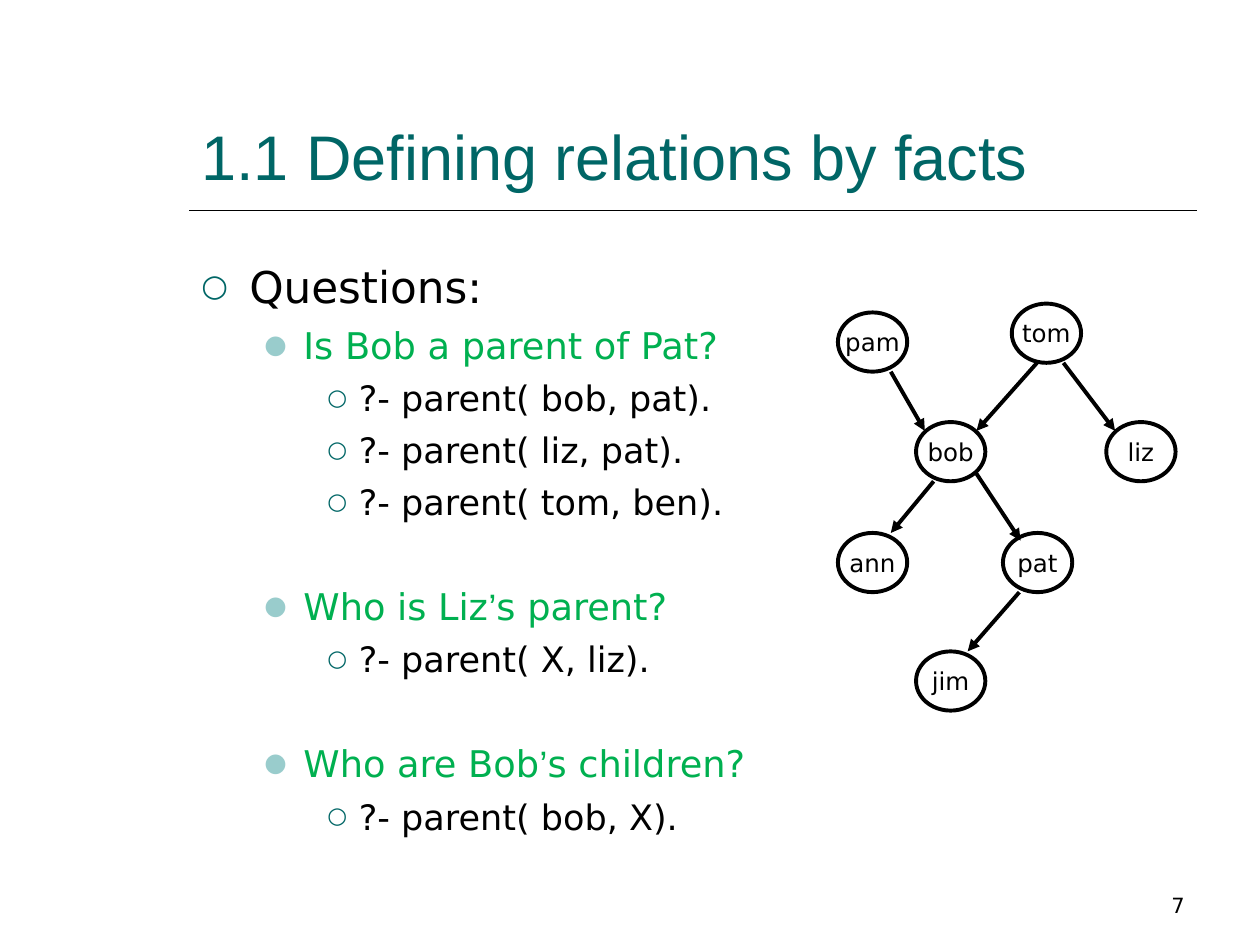
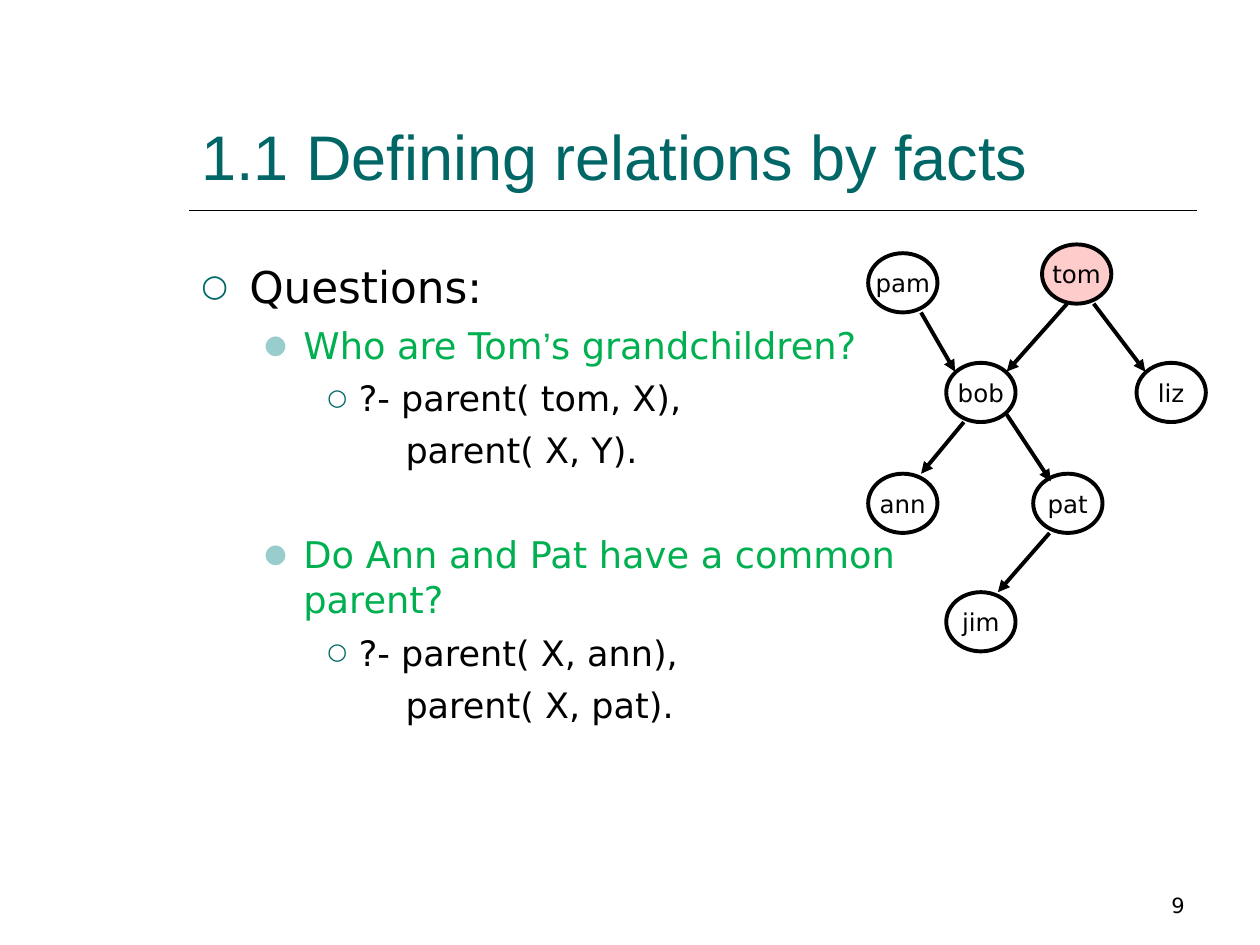
from itertools import zip_longest
from lxml.etree import SubElement
from pptx import Presentation
from pptx.dml.color import RGBColor
from pptx.enum.shapes import MSO_CONNECTOR, MSO_SHAPE
from pptx.enum.text import MSO_ANCHOR, PP_ALIGN
from pptx.oxml.ns import qn
from pptx.util import Inches, Pt

HUES = {"teal": "006666", "aqua": "99CCCC", "green": "00B050",
        "pink": "FFCCCC", "black": "000000", "white": "FFFFFF"}
SANS = "DejaVu Sans"
TITLE = "1.1 Defining relations by facts"

# Outline levels; "more" continues a query on the next line
LEVELS = {
    "head": {"size": 25, "hue": "black", "left": 0.38, "hang": 0.38,
             "gap": 6.2, "mark": ("○", "teal", 70)},
    "ask": {"size": 21, "hue": "green", "left": 0.81, "hang": 0.31,
            "gap": 5.2, "mark": ("●", "aqua", 70)},
    "query": {"size": 20, "hue": "black", "left": 1.25, "hang": 0.25,
              "gap": 5, "mark": ("○", "teal", 65)},
    "more": {"size": 20, "hue": "black", "left": 1.62, "hang": 0,
             "gap": 5, "mark": None},
}
BREAK = 29  # extra points above each new question

# Family tree: node corners, then edges with offsets from those corners
WIDE, HIGH = 0.55, 0.47
NODES = {"pam": (6.65, 2.48), "liz": (8.78, 3.35), "bob": (7.27, 3.35),
         "jim": (7.27, 5.17), "pat": (7.96, 4.23), "ann": (6.65, 4.23),
         "tom": (8.03, 2.41)}
EDGES = [("pam", 0.42, HIGH, "bob", 0.07, 0.07),
         ("tom", 0.2, HIGH, "bob", 0.48, 0.07),
         ("tom", 0.41, HIGH, "liz", 0.07, 0.07),
         ("bob", 0.14, HIGH, "ann", 0.42, 0),
         ("bob", 0.48, 0.41, "pat", 0.14, 0.06),
         ("pat", 0.13, HIGH, "jim", 0.41, 0)]

SLIDES = [
    {"page": "7", "body": (7.75, 5.14), "shift": (0, 0), "lit": None,
     "lines": [("head", "Questions:"),
               ("ask", "Is Bob a parent of Pat?"),
               ("query", "?- parent( bob, pat)."),
               ("query", "?- parent( liz, pat)."),
               ("query", "?- parent( tom, ben)."),
               ("ask", "Who is Liz’s parent?"),
               ("query", "?- parent( X, liz)."),
               ("ask", "Who are Bob’s children?"),
               ("query", "?- parent( bob, X).")]},
    {"page": "9", "body": (5.71, 4.5), "shift": (0.24, -0.47), "lit": "tom",
     "lines": [("head", "Questions:"),
               ("ask", "Who are Tom’s grandchildren?"),
               ("query", "?- parent( tom, X),"),
               ("more", "parent( X, Y)."),
               ("ask", "Do Ann and Pat have a common parent?"),
               ("query", "?- parent( X, ann),"),
               ("more", "parent( X, pat).")]},
]


def write(para, text, size, hue, face=SANS):
    run = para.add_run()
    run.text = text
    for key, val in {"name": face, "size": Pt(size)}.items():
        setattr(run.font, key, val)
    run.font.color.rgb = RGBColor.from_string(HUES[hue])


def draw(slide, x1, y1, x2, y2, width, tip=False):
    line = slide.shapes.add_connector(
        MSO_CONNECTOR.STRAIGHT, Inches(x1), Inches(y1), Inches(x2), Inches(y2))
    line.line.color.rgb = RGBColor.from_string(HUES["black"])
    line.line.width = Pt(width)
    if tip:
        SubElement(line.line._get_or_add_ln(), qn("a:tailEnd"), type="triangle")
    SubElement(line._element.spPr, qn("a:effectLst"))


deck = Presentation()
deck.slide_width, deck.slide_height = Inches(10), Inches(7.5)

for plan in SLIDES:
    slide = deck.slides.add_slide(deck.slide_layouts[6])

    # Rule, page number and title
    draw(slide, 1.5, 1.67, 9.5, 1.67, 1)
    for spot, text, size, hue, face, side in [
            ((7.17, 6.83, 2.33, 0.5), plan["page"], 12, "black", SANS, PP_ALIGN.RIGHT),
            ((1.5, 0.33, 8, 1.25), TITLE, 36, "teal", "Arial", PP_ALIGN.LEFT)]:
        frame = slide.shapes.add_textbox(*map(Inches, spot)).text_frame
        for key, val in {"word_wrap": True, "vertical_anchor": MSO_ANCHOR.BOTTOM}.items():
            setattr(frame, key, val)
        frame.paragraphs[0].alignment = side
        write(frame.paragraphs[0], text, size, hue, face)

    # Questions and queries
    frame = slide.shapes.add_textbox(
        Inches(1.5), Inches(2), *map(Inches, plan["body"])).text_frame
    frame.word_wrap = True
    last = None
    for kind, text in plan["lines"]:
        form = LEVELS[kind]
        para = frame.add_paragraph() if last else frame.paragraphs[0]
        fresh = kind == "ask" and last != "head"
        for key, val in {"line_spacing": 1.03,
                         "space_before": Pt(form["gap"] + BREAK * fresh),
                         "level": list(LEVELS).index(kind) if kind != "more" else 2}.items():
            setattr(para, key, val)
        props = para._p.get_or_add_pPr()
        props.set("marL", str(Inches(form["left"])))
        props.set("indent", str(-Inches(form["hang"])))
        if form["mark"]:
            char, hue, scale = form["mark"]
            tint = SubElement(props, qn("a:buClr"))
            SubElement(tint, qn("a:srgbClr"), val=HUES[hue])
            SubElement(props, qn("a:buSzPct"), val=str(scale * 1000))
            SubElement(props, qn("a:buFont"), typeface=SANS)
            SubElement(props, qn("a:buChar"), char=char)
        # The apostrophe is set in Arial
        parts = text.split("’")
        for part, mark in zip_longest(parts, ["’"] * (len(parts) - 1)):
            write(para, part, form["size"], form["hue"])
            if mark:
                write(para, mark, form["size"], form["hue"], "Arial")
        last = kind

    # Family tree
    dx, dy = plan["shift"]
    spots = {name: (x + dx, y + dy) for name, (x, y) in NODES.items()}
    for name, (x, y) in spots.items():
        node = slide.shapes.add_shape(
            MSO_SHAPE.OVAL, Inches(x), Inches(y), Inches(WIDE), Inches(HIGH))
        node.shadow.inherit = False
        node.fill.solid()
        node.fill.fore_color.rgb = RGBColor.from_string(
            HUES["pink" if name == plan["lit"] else "white"])
        node.line.color.rgb = RGBColor.from_string(HUES["black"])
        node.line.width = Pt(2.25)
        frame = node.text_frame
        for key, val in {"word_wrap": False, "vertical_anchor": MSO_ANCHOR.MIDDLE}.items():
            setattr(frame, key, val)
        frame.paragraphs[0].alignment = PP_ALIGN.CENTER
        write(frame.paragraphs[0], name, 14, "black")
    for top, x1, y1, low, x2, y2 in EDGES:
        (ax, ay), (bx, by) = spots[top], spots[low]
        draw(slide, ax + x1, ay + y1, bx + x2, by + y2, 2.25, tip=True)

deck.save("out.pptx")
